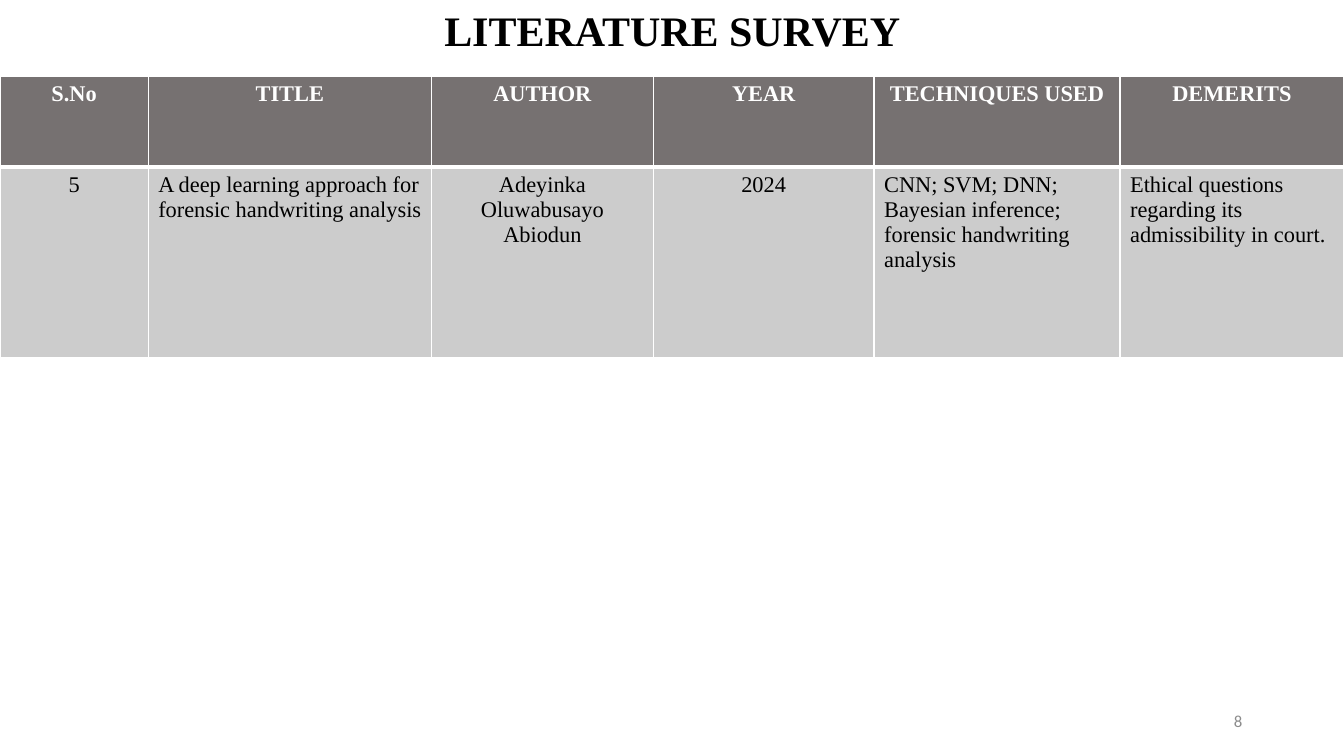
from lxml.etree import SubElement
from pptx import Presentation
from pptx.dml.color import RGBColor
from pptx.enum.text import MSO_ANCHOR as Anchor, PP_ALIGN as Align
from pptx.oxml.ns import qn
from pptx.util import Inches, Pt

WHITE, BLACK = "FFFFFF", "000000"
HEADER_FILL, BODY_FILL, NUMBER_GRAY = "767171", "CCCCCC", "8C8C8C"
COLUMNS = [
    ("S.No", 1.47, Align.CENTER, "5"),
    ("TITLE", 2.81, Align.LEFT, "A deep learning approach for forensic handwriting analysis"),
    ("AUTHOR", 2.2, Align.CENTER, "Adeyinka Oluwabusayo Abiodun"),
    ("YEAR", 2.19, Align.CENTER, "2024"),
    ("TECHNIQUES USED", 2.44, Align.LEFT,
     "CNN; SVM; DNN; Bayesian inference; forensic handwriting analysis"),
    ("DEMERITS", 2.22, Align.LEFT, "Ethical questions regarding its admissibility in court."),
]
ROW_HEIGHTS = (0.9, 1.89)


def color(value):
    """Return the colour for a hex string."""
    return RGBColor.from_string(value)


def write_text(frame, text, size=16, font="Times New Roman", fill=BLACK,
               bold=False, align=Align.CENTER, spacing=1.0):
    """Put one formatted paragraph into a text frame."""
    frame.word_wrap = True
    paragraph = frame.paragraphs[0]
    paragraph.alignment = align
    paragraph.line_spacing = spacing
    run = paragraph.add_run()
    run.text = text
    run.font.size = Pt(size)
    run.font.name = font
    run.font.bold = bold
    run.font.color.rgb = color(fill)


def add_label(slide, left, top, width, height, text, **text_format):
    """Add a vertically centred text box."""
    box = slide.shapes.add_textbox(Inches(left), Inches(top), Inches(width), Inches(height))
    box.text_frame.vertical_anchor = Anchor.MIDDLE
    write_text(box.text_frame, text, **text_format)


def add_borders(cell, **widths):
    """Draw white cell borders with widths in points by side."""
    properties = cell._tc.get_or_add_tcPr()
    for side, width in widths.items():
        line = SubElement(properties, qn(f"a:ln{side}"), w=str(Pt(width)))
        SubElement(SubElement(line, qn("a:solidFill")), qn("a:srgbClr"), val=WHITE)


def fill_cell(cell, text, background, borders, **text_format):
    """Give a table cell its borders, background and text."""
    add_borders(cell, **borders)
    cell.fill.solid()
    cell.fill.fore_color.rgb = color(background)
    write_text(cell.text_frame, text, **text_format)


def add_survey_table(slide):
    """Add the literature table with its header and entry."""
    table = slide.shapes.add_table(
        len(ROW_HEIGHTS), len(COLUMNS), Inches(0), Inches(0.76),
        Inches(13.33), Inches(sum(ROW_HEIGHTS))).table
    for row, height in zip(table.rows, ROW_HEIGHTS):
        row.height = Inches(height)
    header_borders = {"L": 1, "R": 1, "T": 1, "B": 3}
    body_borders = {"L": 1, "R": 1, "T": 3, "B": 1}
    for index, (heading, width, align, entry) in enumerate(COLUMNS):
        table.columns[index].width = Inches(width)
        fill_cell(table.cell(0, index), heading, HEADER_FILL, header_borders,
                  fill=WHITE, bold=True)
        fill_cell(table.cell(1, index), entry, BODY_FILL, body_borders, align=align)


def main():
    """Build and save the literature survey slide."""
    presentation = Presentation()
    presentation.slide_width = Inches(13.33)
    presentation.slide_height = Inches(7.5)
    slide = presentation.slides.add_slide(presentation.slide_layouts[6])
    add_label(slide, 0.92, -0.09, 11.5, 0.83, "LITERATURE SURVEY",
              size=30, bold=True, spacing=0.9)
    add_survey_table(slide)
    add_label(slide, 9.42, 6.95, 3, 0.4, "8", size=12, font="Calibri",
              fill=NUMBER_GRAY, align=Align.RIGHT)
    presentation.save("out.pptx")


if __name__ == "__main__":
    main()
